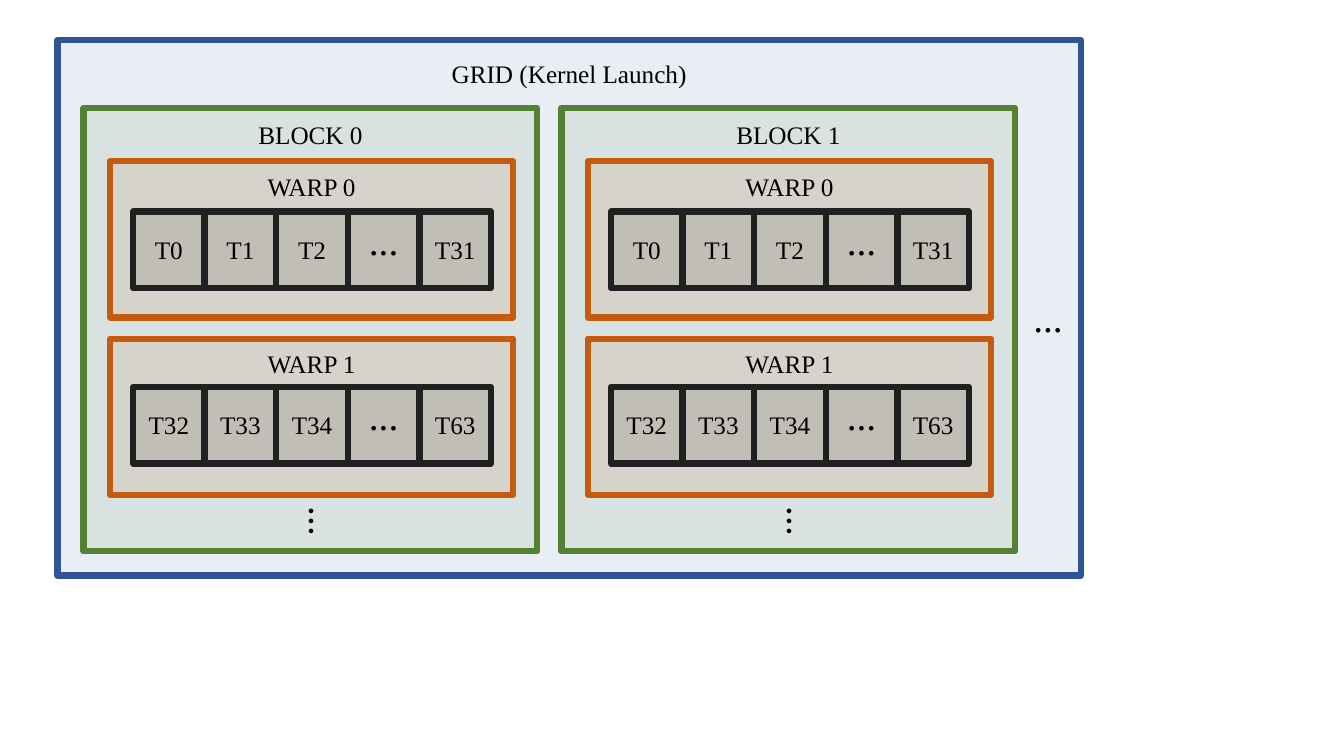
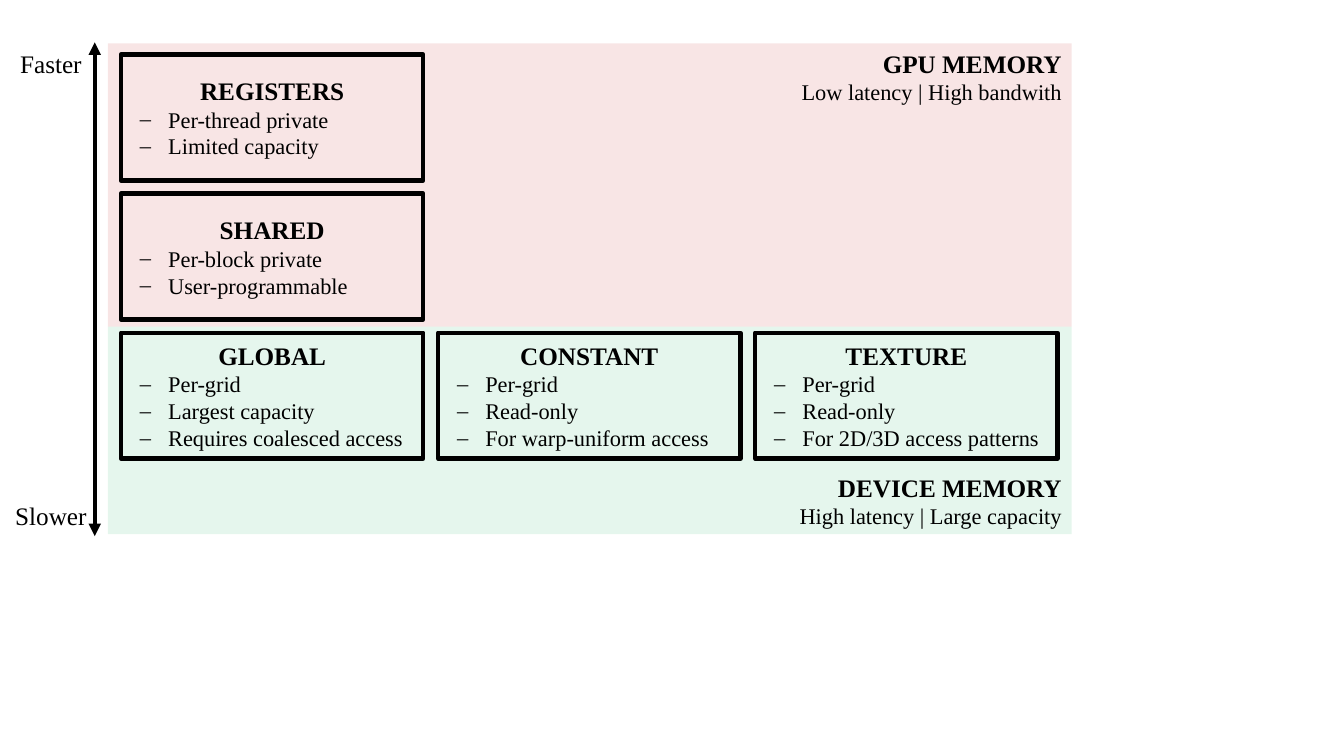
from dataclasses import dataclass

from lxml.etree import SubElement
from pptx import Presentation
from pptx.dml.color import RGBColor
from pptx.enum.shapes import MSO_CONNECTOR, MSO_SHAPE
from pptx.enum.text import MSO_ANCHOR, PP_ALIGN
from pptx.oxml.ns import qn
from pptx.util import Inches, Pt


@dataclass(frozen=True)
class Theme:
    font: str = "Times New Roman"
    ink: str = "000000"
    grid: str = "2F5597"
    block: str = "548235"
    warp: str = "C55A11"
    thread: str = "202020"
    gpu: str = "C00000"
    device: str = "00B050"
    tint: int = 10  # fill opacity, percent
    label: int = 18
    detail: int = 16
    dots: int = 28
    heavy: float = 4.5
    medium: float = 3


T = Theme()
SLIDE = (13.33, 7.5)
INSETS = (0.1, 0.05, 0.1, 0.05)
DOTS = "..."

# Content: thread hierarchy
GRID_TITLE = "GRID (Kernel Launch)"
BLOCKS = ["BLOCK 0", "BLOCK 1"]
WARPS = [
    ("WARP 0", ["T0", "T1", "T2", DOTS, "T31"]),
    ("WARP 1", ["T32", "T33", "T34", DOTS, "T63"]),
]

# Content: memory hierarchy; cards are (column, row, title, bullets)
BANDS = [
    ("GPU MEMORY", "Low latency | High bandwith", T.gpu, 0.43, 2.81, MSO_ANCHOR.TOP),
    ("DEVICE MEMORY", "High latency | Large capacity", T.device, 3.24, 2.06, MSO_ANCHOR.BOTTOM),
]
CARDS = [
    (0, 0, "REGISTERS", ["Per-thread private", "Limited capacity"]),
    (0, 1, "SHARED", ["Per-block private", "User-programmable"]),
    (0, 2, "GLOBAL", ["Per-grid", "Largest capacity", "Requires coalesced access"]),
    (1, 2, "CONSTANT", ["Per-grid", "Read-only", "For warp-uniform access"]),
    (2, 2, "TEXTURE", ["Per-grid", "Read-only", "For 2D/3D access patterns"]),
]
AXIS_LABELS = [("Faster", 0.45), ("Slower", 4.94)]


# Shared drawing helpers
def add_rect(slide, x, y, w, h, fill=None, line=None, width=T.heavy):
    sp = slide.shapes.add_shape(MSO_SHAPE.RECTANGLE, *map(Inches, (x, y, w, h)))
    sp.shadow.inherit = False
    if fill:
        sp.fill.solid()
        sp.fill.fore_color.rgb = RGBColor.from_string(fill)
        color = sp.element.spPr.find(".//" + qn("a:srgbClr"))
        SubElement(color, qn("a:alpha"), val=str(T.tint * 1000))
    else:
        sp.fill.background()
    if line:
        sp.line.color.rgb = RGBColor.from_string(line)
        sp.line.width = Pt(width)
    else:
        sp.line.fill.background()
    return sp


def set_frame(sp, anchor=MSO_ANCHOR.MIDDLE, insets=INSETS, wrap=True):
    tf = sp.text_frame
    tf.word_wrap = wrap
    tf.vertical_anchor = anchor
    tf.margin_left, tf.margin_top, tf.margin_right, tf.margin_bottom = map(Inches, insets)
    return tf


def write(tf, text, size=T.label, align=PP_ALIGN.CENTER, bold=False, first=True):
    p = tf.paragraphs[0] if first else tf.add_paragraph()
    p.alignment = align
    r = p.add_run()
    r.text = text
    r.font.name = T.font
    r.font.size = Pt(size)
    r.font.bold = bold
    r.font.color.rgb = RGBColor.from_string(T.ink)
    return p


def add_bullet(p):
    pPr = p._p.get_or_add_pPr()
    pPr.set("marL", str(Inches(0.37)))
    pPr.set("indent", str(Inches(-0.28)))
    SubElement(pPr, qn("a:buFont"), typeface=T.font)
    SubElement(pPr, qn("a:buChar"), char="–")


def add_label(slide, text, x, y, w, h, size=T.label, vertical=False):
    sp = slide.shapes.add_textbox(*map(Inches, (x, y, w, h)))
    tf = set_frame(sp, wrap=False)
    write(tf, text, size)
    if vertical:
        tf._txBody.bodyPr.set("vert", "vert")


def add_container(slide, title, box, color, top):
    sp = add_rect(slide, *box, fill=color, line=color)
    write(set_frame(sp, MSO_ANCHOR.TOP, (0, top, 0, 0)), title)


# Slide 1: grid > block > warp > thread
def add_threads(slide, names, x, y):
    w, h = 0.71, 0.76
    for i, name in enumerate(names):
        sp = add_rect(slide, x + i * w, y, w, h, T.ink, T.thread)
        is_dots = name == DOTS
        tf = set_frame(sp, insets=(0, 0, 0, 0.2 if is_dots else 0.02))
        write(tf, name, T.dots if is_dots else T.label)


def build_threads(slide):
    add_container(slide, GRID_TITLE, (0.57, 0.4, 10.15, 5.31), T.grid, 0.18)
    for b, block in enumerate(BLOCKS):
        x = 0.83 + b * 4.74
        add_container(slide, block, (x, 1.07, 4.5, 4.4), T.block, 0.11)
        for w, (warp, names) in enumerate(WARPS):
            add_container(slide, warp, (x + 0.26, 1.6 + w * 1.76, 4, 1.55), T.warp, 0.1)
            add_threads(slide, names, x + 0.49, 2.1 + w * 1.74)
        add_label(slide, DOTS, x + 2.06, 4.89, 0.67, 0.57, T.dots, vertical=True)
    add_label(slide, DOTS, 9.94, 2.86, 0.91, 0.57, T.dots)


# Slide 2: memory bands, speed axis, memory cards
def add_axis(slide, x, top, bottom):
    c = slide.shapes.add_connector(
        MSO_CONNECTOR.STRAIGHT, *map(Inches, (x, top, x, bottom)))
    c.line.color.rgb = RGBColor.from_string(T.ink)
    c.line.width = Pt(T.medium)
    ln = c.line._get_or_add_ln()
    for end in ("a:headEnd", "a:tailEnd"):
        SubElement(ln, qn(end), type="triangle")
    SubElement(c.element.spPr, qn("a:effectLst"))


def build_memory(slide):
    for title, detail, color, y, h, anchor in BANDS:
        tf = set_frame(add_rect(slide, 1.07, y, 9.56, h, color), anchor)
        write(tf, title, align=PP_ALIGN.RIGHT, bold=True)
        write(tf, detail, T.detail, PP_ALIGN.RIGHT, first=False)

    add_axis(slide, 0.94, 0.42, 5.32)
    for text, y in AXIS_LABELS:
        add_label(slide, text, 0.04, y, 0.93, 0.35)

    w, h, gap_x, gap_y = 3, 1.25, 0.145, 0.13
    for col, row, title, bullets in CARDS:
        sp = add_rect(slide, 1.2 + col * (w + gap_x), 0.54 + row * (h + gap_y),
                      w, h, line=T.ink, width=T.medium)
        tf = set_frame(sp)
        write(tf, title, bold=True)
        for text in bullets:
            add_bullet(write(tf, text, T.detail, PP_ALIGN.LEFT, first=False))


def main():
    prs = Presentation()
    prs.slide_width, prs.slide_height = map(Inches, SLIDE)
    for build in (build_threads, build_memory):
        build(prs.slides.add_slide(prs.slide_layouts[6]))
    prs.save("out.pptx")


if __name__ == "__main__":
    main()
